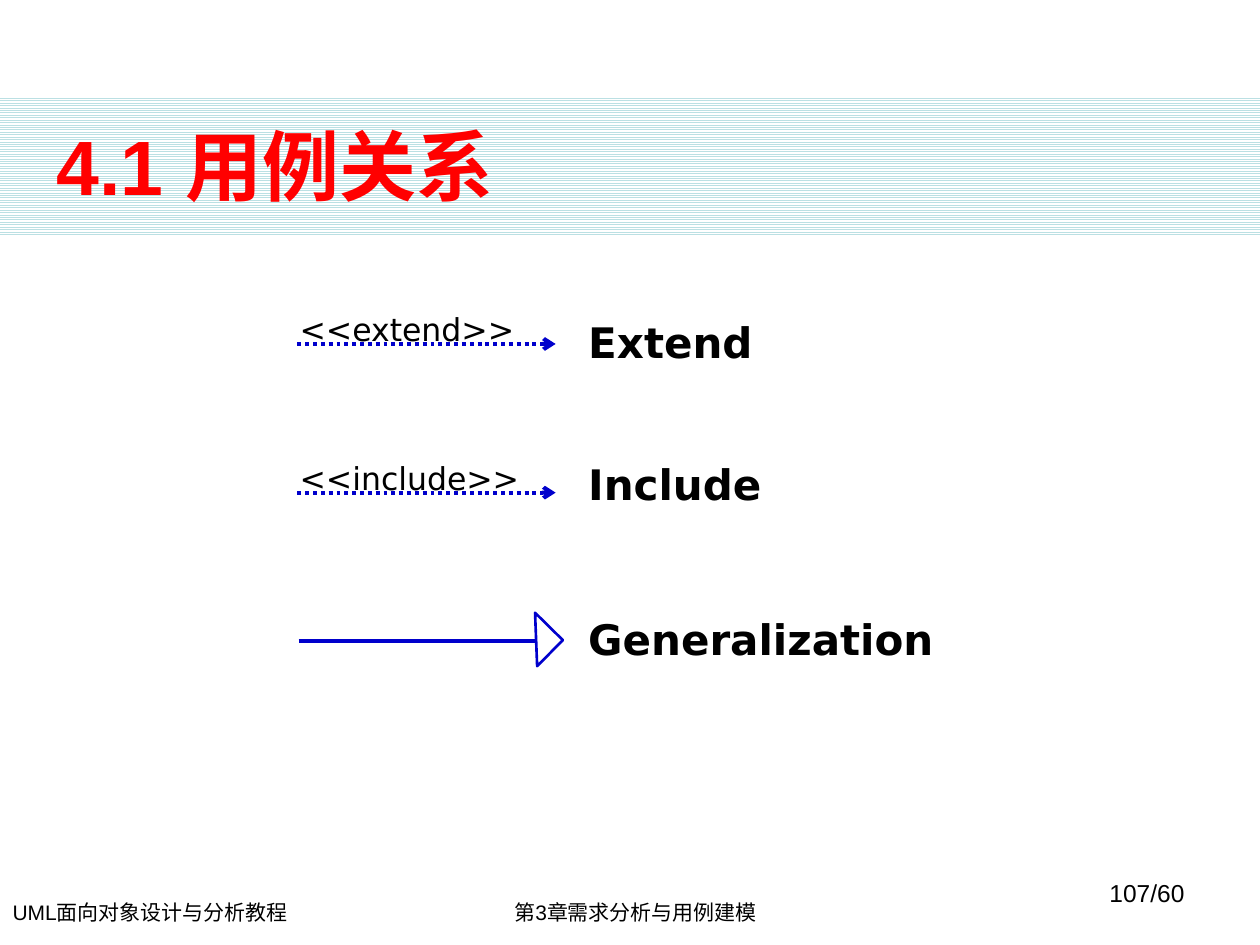
from dataclasses import dataclass

from lxml.etree import SubElement
from pptx import Presentation
from pptx.dml.color import RGBColor
from pptx.enum.dml import MSO_LINE, MSO_PATTERN
from pptx.enum.shapes import MSO_CONNECTOR, MSO_SHAPE
from pptx.enum.text import MSO_ANCHOR, PP_ALIGN
from pptx.oxml.ns import qn
from pptx.util import Inches, Pt


@dataclass(frozen=True)
class Theme:
    text: RGBColor = RGBColor(0, 0, 0)
    title: RGBColor = RGBColor(0xFF, 0, 0)
    line: RGBColor = RGBColor(0, 0, 0xCC)
    band: RGBColor = RGBColor(0xBB, 0xE0, 0xE3)
    paper: RGBColor = RGBColor(0xFF, 0xFF, 0xFF)
    font: str = "Arial"
    label_font: str = "DejaVu Sans"
    title_size: int = 44
    name_size: int = 24
    stereotype_size: int = 18
    page_size: int = 14
    footer_size: int = 12


theme = Theme()


def write(s, text, size, font, color=theme.text, bold=False, align=PP_ALIGN.LEFT):
    tf = s.text_frame
    tf.word_wrap = True
    p = tf.paragraphs[0]
    p.alignment = align
    r = p.add_run()
    r.text = text
    r.font.size = Pt(size)
    r.font.name = font
    r.font.bold = bold
    r.font.color.rgb = color
    return tf


def add_line(shapes, x1, x2, y):
    s = shapes.add_connector(MSO_CONNECTOR.STRAIGHT, Inches(x1), Inches(y), Inches(x2), Inches(y))
    s.line.color.rgb = theme.line
    s.line.width = Pt(2.25)
    SubElement(s._element.spPr, qn("a:effectLst"))
    return s


prs = Presentation()
prs.slide_width, prs.slide_height = Inches(10), Inches(7.5)
slide = prs.slides.add_slide(prs.slide_layouts[5])
shapes = slide.shapes
title = shapes.title

# Striped title band, placed behind the title
band = shapes.add_shape(MSO_SHAPE.RECTANGLE, 0, Inches(0.76), Inches(10), Inches(1.1))
band.shadow.inherit = False
band.fill.patterned()
band.fill.pattern = MSO_PATTERN.LIGHT_HORIZONTAL
band.fill.fore_color.rgb = theme.band
band.fill.back_color.rgb = theme.paper
band.line.fill.background()
title._element.addprevious(band._element)

# Title
title.left, title.top, title.width, title.height = Inches(0.35), Inches(0.83), Inches(9), Inches(0.95)
tf = write(title, "4.1 用例关系", theme.title_size, theme.font, theme.title, bold=True)
tf.vertical_anchor = MSO_ANCHOR.MIDDLE

# Footers and page number
footers = [
    ("UML面向对象设计与分析教程", 0.1, 7.09, 3.39, 0.3, theme.footer_size, PP_ALIGN.LEFT, 0),
    ("第3章需求分析与用例建模", 3.35, 7.09, 3.39, 0.3, theme.footer_size, PP_ALIGN.CENTER, 0.1),
    ("107/60", 7.17, 6.92, 2.33, 0.5, theme.page_size, PP_ALIGN.RIGHT, 0.1),
]
for text, x, y, w, h, size, align, inset in footers:
    s = shapes.add_textbox(Inches(x), Inches(y), Inches(w), Inches(h))
    tf = write(s, text, size, theme.font, align=align)
    tf.margin_left = Inches(inset)

# Dotted dependency arrows with stereotypes
for text, y in [("<<extend>>", 2.73), ("<<include>>", 3.91)]:
    group = shapes.add_group_shape()
    s = add_line(group.shapes, 2.36, 4.41, y)
    s.line.dash_style = MSO_LINE.ROUND_DOT
    SubElement(s.line._get_or_add_ln(), qn("a:tailEnd"), type="arrow")
    s = group.shapes.add_textbox(Inches(2.28), Inches(y - 0.32), Inches(1.97), Inches(0.4))
    write(s, text, theme.stereotype_size, theme.label_font)

# Generalization arrow with a hollow triangle
group = shapes.add_group_shape()
add_line(group.shapes, 2.37, 4.26, 5.09)
head = group.shapes.add_shape(
    MSO_SHAPE.RIGHT_TRIANGLE, Inches(4.1), Inches(4.93), Inches(0.31), Inches(0.29))
head.rotation = 224.6
head.shadow.inherit = False
head.fill.background()
head.line.color.rgb = theme.line
head.line.width = Pt(1.5)

# Relationship names
for text, y, w in [("Extend", 2.46, 2.28), ("Include", 3.59, 2.28), ("Generalization", 4.82, 2.95)]:
    s = shapes.add_textbox(Inches(4.57), Inches(y), Inches(w), Inches(0.5))
    write(s, text, theme.name_size, theme.label_font, bold=True)

prs.save("out.pptx")
